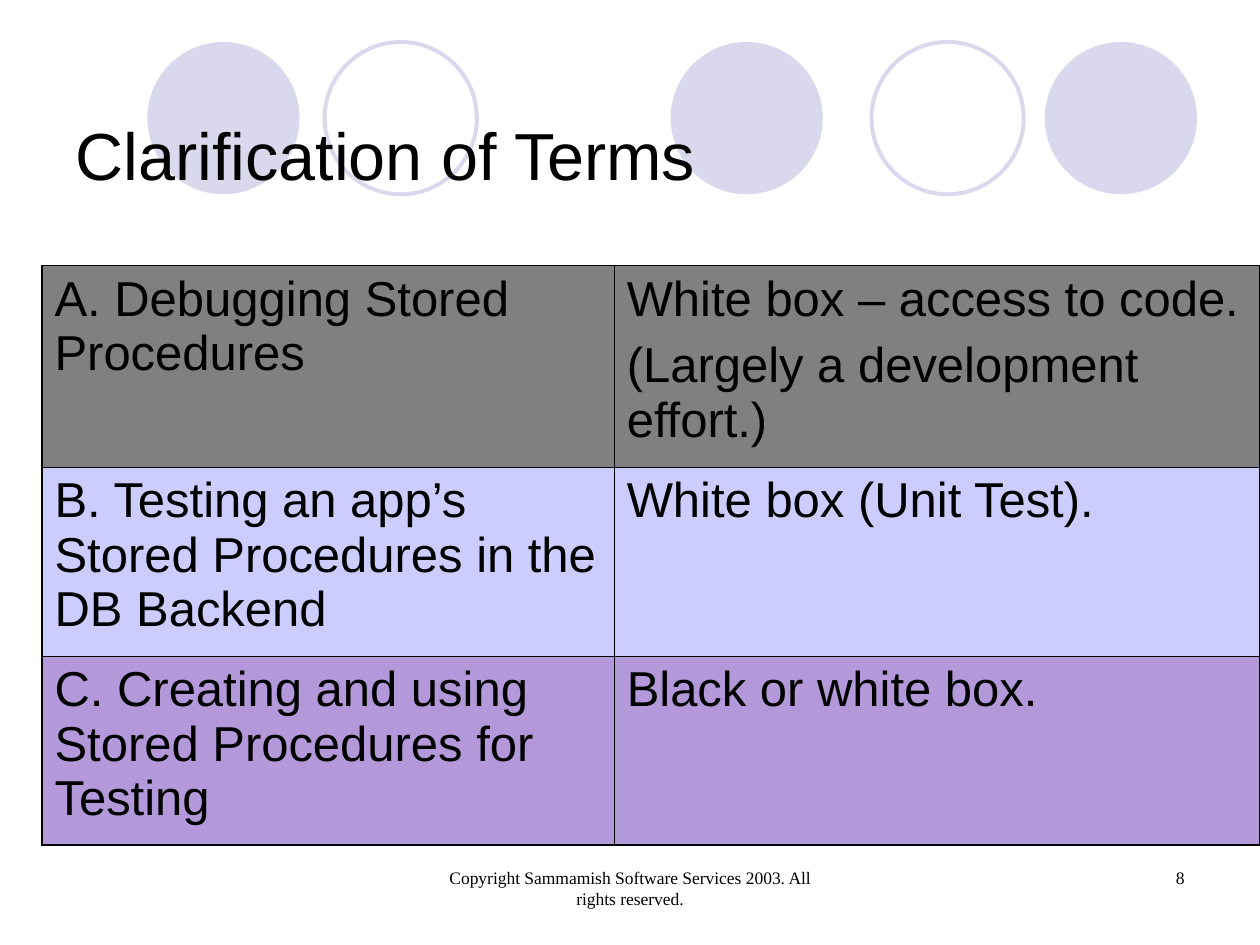
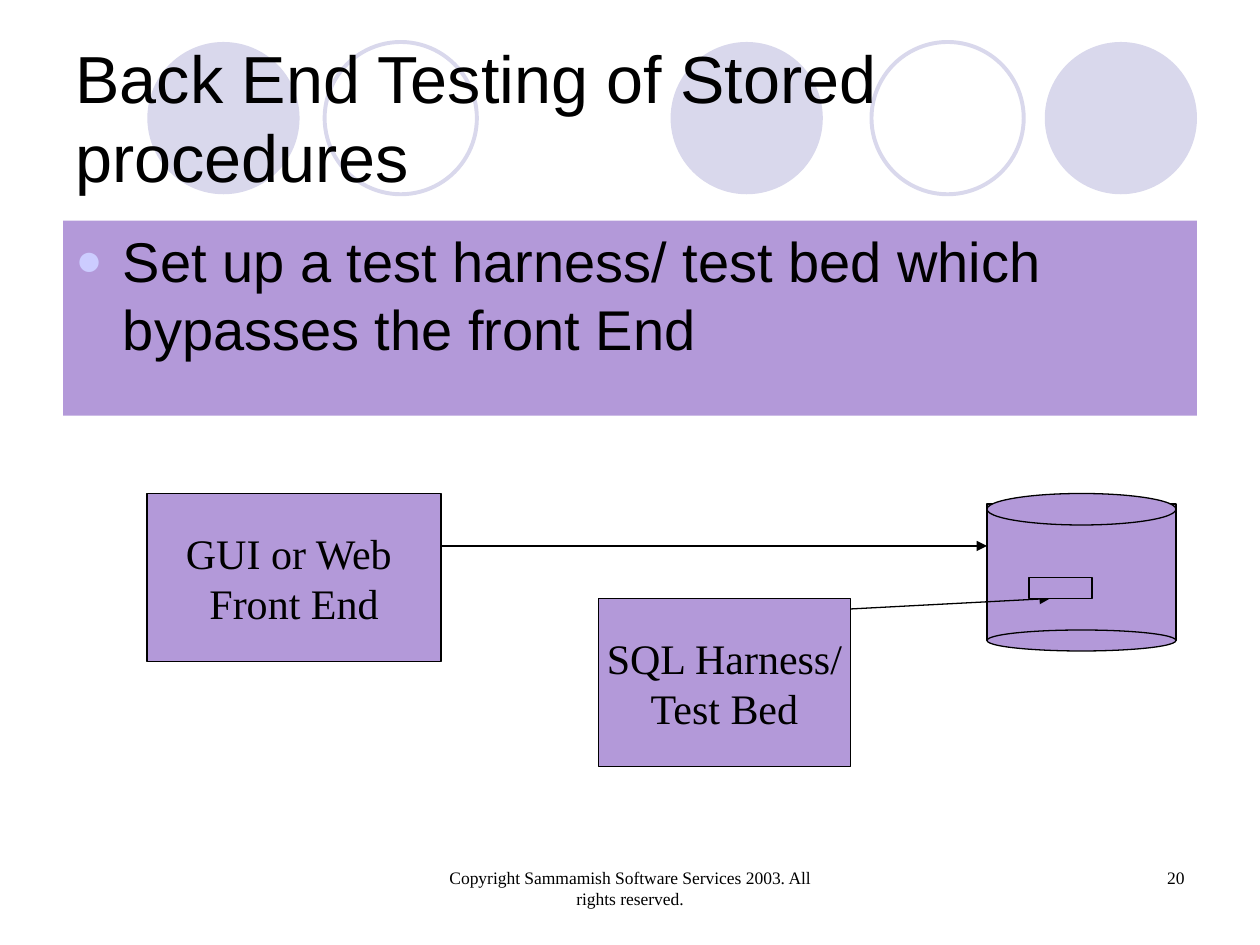
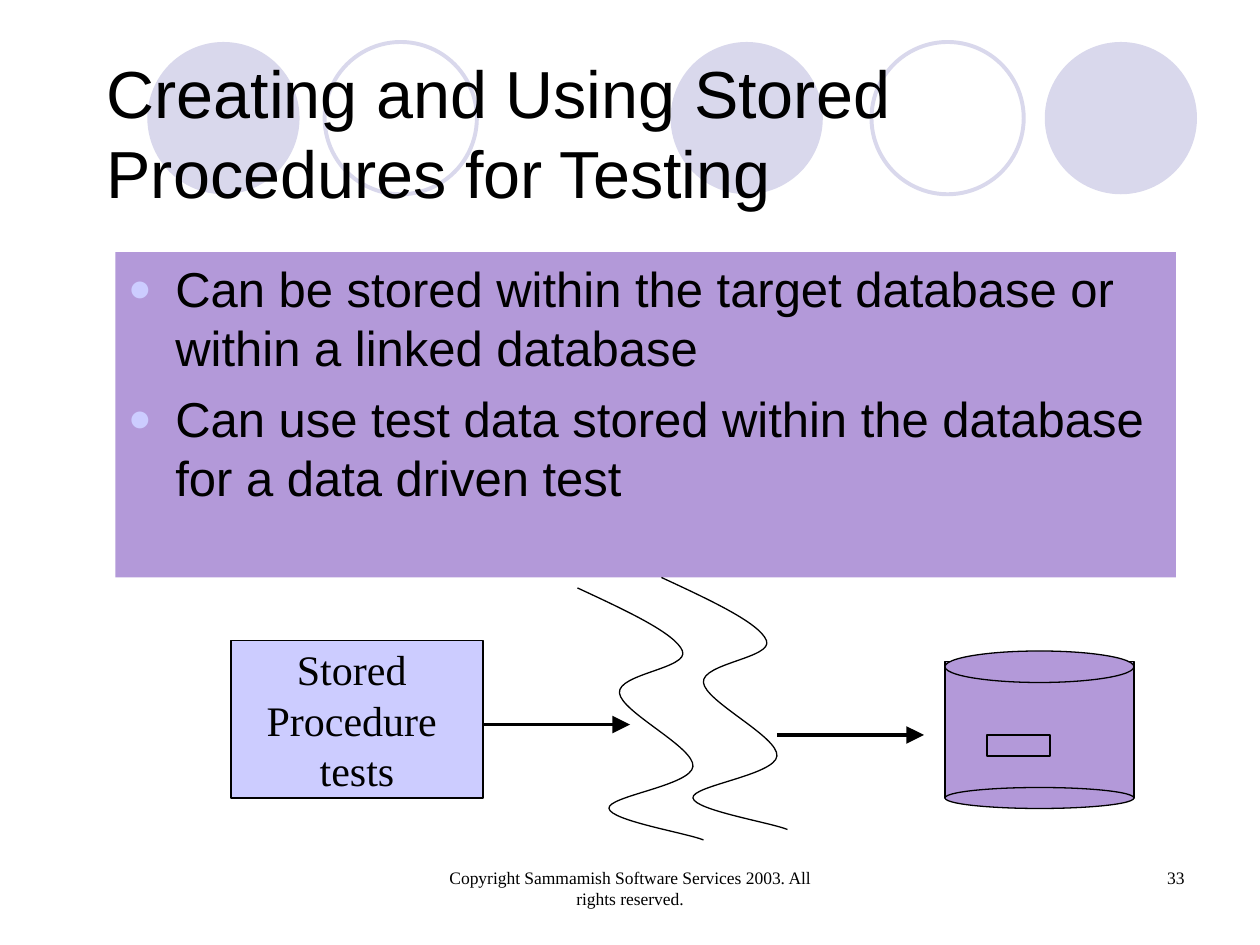
"""Build three slides on testing stored procedures in the database back end."""
from lxml import etree
from pptx import Presentation
from pptx.dml.color import RGBColor
from pptx.enum.shapes import MSO_CONNECTOR, MSO_SHAPE
from pptx.enum.text import MSO_ANCHOR, MSO_AUTO_SIZE, PP_ALIGN
from pptx.oxml.ns import qn
from pptx.util import Pt

RECTANGLE, OVAL = MSO_SHAPE.RECTANGLE, MSO_SHAPE.OVAL
STRAIGHT = MSO_CONNECTOR.STRAIGHT
LEFT, CENTER, RIGHT = PP_ALIGN.LEFT, PP_ALIGN.CENTER, PP_ALIGN.RIGHT
MIDDLE, TOP = MSO_ANCHOR.MIDDLE, MSO_ANCHOR.TOP
NO_AUTOFIT = MSO_AUTO_SIZE.NONE

BLACK, GRAY, CIRCLE_TINT = "000000", "808080", "D9D8EC"
PERIWINKLE, PURPLE = "CCCCFF", "B399D9"
SANS, SERIF = "Arial", "Times New Roman"
COPYRIGHT = "Copyright Sammamish Software Services 2003. All rights reserved."

rgb = RGBColor.from_string


def paint(shape, fill=None, line=None, width=0.75):
    """Set fill and outline, leaving out whichever has no colour."""
    shape.shadow.inherit = False
    if fill:
        shape.fill.solid()
        shape.fill.fore_color.rgb = rgb(fill)
    else:
        shape.fill.background()
    if line:
        shape.line.color.rgb = rgb(line)
        shape.line.width = Pt(width)
    else:
        shape.line.fill.background()


def write(frame, lines, size, font_name, align=LEFT, gap=0, bullet=False):
    """Fill a text frame with one paragraph per line."""
    frame.text = "\n".join(lines)
    for index, paragraph in enumerate(frame.paragraphs):
        if bullet:
            properties = paragraph._p.get_or_add_pPr()
            properties.set("marL", str(Pt(27)))
            properties.set("indent", str(Pt(-27)))
            color = etree.SubElement(properties, qn("a:buClr"))
            etree.SubElement(color, qn("a:srgbClr"), val=PERIWINKLE)
            etree.SubElement(properties, qn("a:buSzPct"), val="80000")
            etree.SubElement(properties, qn("a:buChar"), char="●")
        paragraph.alignment = align
        paragraph.space_before = Pt(gap if index else 0)
        paragraph.font.size = Pt(size)
        paragraph.font.name = font_name
        paragraph.font.color.rgb = rgb(BLACK)


presentation = Presentation()
presentation.slide_width, presentation.slide_height = Pt(720), Pt(540)
title_and_body, title_only = presentation.slide_layouts[1], presentation.slide_layouts[5]

slides = []
for layout, title, box, number in [
    (title_only, "Clarification of Terms", (36, 64, 648, 47.5), "8"),
    (title_and_body, "Back End Testing of Stored procedures", (36, 21.5, 648, 90), "20"),
    (title_and_body, "Creating and Using Stored Procedures for Testing", (53.7, 19, 666, 113), "33"),
]:
    slide = presentation.slides.add_slide(layout)
    slides.append(slide)
    heading = slide.shapes.title
    heading.left, heading.top, heading.width, heading.height = map(Pt, box)
    write(heading.text_frame, [title], 38, SANS)
    heading.text_frame.vertical_anchor = MIDDLE
    heading.text_frame.auto_size = NO_AUTOFIT
    for text, left, width, align in [(COPYRIGHT, 246, 228, CENTER), (number, 516, 168, RIGHT)]:
        footer = slide.shapes.add_textbox(Pt(left), Pt(492), Pt(width), Pt(36))
        footer.text_frame.word_wrap = True
        write(footer.text_frame, [text], 10, SERIF, align)
terms_slide, back_end_slide, creating_slide = slides

master_tree = presentation.slide_master.shapes.element
for index, (left, filled) in enumerate(
    [(84.2, True), (185.5, False), (383.2, True), (498, False), (597, True)]
):
    circle = terms_slide.shapes.add_shape(OVAL, Pt(left), Pt(24), Pt(87), Pt(87))
    paint(circle, CIRCLE_TINT if filled else None, None if filled else CIRCLE_TINT, 2.25)
    master_tree.insert(2 + index, circle.element)

terms = [
    (114.5, GRAY, ["A. Debugging Stored Procedures"],
     ["White box – access to code.", "(Largely a development effort.)"]),
    (107.8, PERIWINKLE, ["B. Testing an app’s Stored Procedures in the DB Backend"],
     ["White box (Unit Test)."]),
    (107.8, PURPLE, ["C. Creating and using Stored Procedures for Testing"],
     ["Black or white box."]),
]
table = terms_slide.shapes.add_table(3, 2, Pt(24), Pt(151.7), Pt(696), Pt(330)).table
table.first_row = table.horz_banding = False
table.columns[0].width, table.columns[1].width = Pt(327), Pt(369)
for row, (height, fill, *texts) in enumerate(terms):
    table.rows[row].height = Pt(height)
    for column, lines in enumerate(texts):
        cell = table.cell(row, column)
        write(cell.text_frame, lines, 28, SANS, gap=7)
        outer_edges = {"L": column == 0, "R": column == 1, "T": row == 0, "B": row == 2}
        for side, outer in outer_edges.items():
            border = etree.SubElement(
                cell._tc.get_or_add_tcPr(), qn(f"a:ln{side}"), w=str(Pt(1.08 if outer else 0.45))
            )
            border_fill = etree.SubElement(border, qn("a:solidFill"))
            etree.SubElement(border_fill, qn("a:srgbClr"), val=BLACK)
        cell.fill.solid()
        cell.fill.fore_color.rgb = rgb(fill)

for slide, box, size, gap, lines in [
    (back_end_slide, (36, 126, 648, 111.5), 32, 8,
     ["Set up a test harness/ test bed which bypasses the front End"]),
    (creating_slide, (66, 144, 606, 186), 28, 7,
     ["Can be stored within the target database or within a linked database",
      "Can use test data stored within the database for a data driven test"]),
]:
    body = slide.placeholders[1]
    body.left, body.top, body.width, body.height = map(Pt, box)
    paint(body, PURPLE)
    write(body.text_frame, lines, size, SANS, gap=gap, bullet=True)
    body.text_frame.vertical_anchor = TOP
    body.text_frame.auto_size = NO_AUTOFIT

for slide, box, fill, lines in [
    (back_end_slide, (84, 282, 168, 96), PURPLE, ["GUI or Web ", "Front End"]),
    (back_end_slide, (342, 342, 144, 96), PURPLE, ["SQL Harness/", "Test Bed"]),
    (creating_slide, (132, 366, 144, 90), PERIWINKLE, ["Stored ", "Procedure ", "tests"]),
]:
    client = slide.shapes.add_shape(RECTANGLE, *map(Pt, box))
    paint(client, fill, BLACK)
    write(client.text_frame, lines, 24, SERIF, CENTER)
    client.text_frame.word_wrap = False
    client.text_frame.vertical_anchor = MIDDLE

databases = [(back_end_slide, 564, 282), (creating_slide, 540, 372)]
for slide, left, top in databases:
    for kind, offset, height in [(RECTANGLE, 6, 78), (OVAL, 78, 12), (OVAL, 0, 18)]:
        part = slide.shapes.add_shape(kind, Pt(left), Pt(top + offset), Pt(108), Pt(height))
        paint(part, PURPLE, BLACK)

for slide, ends, width, head in [
    (back_end_slide, (486, 348, 600, 342), 0.75, "med"),
    (back_end_slide, (252, 312, 564, 312), 0.75, "med"),
    (creating_slide, (276, 414, 360, 414), 2, "lg"),
    (creating_slide, (444, 420, 528, 420), 2, "lg"),
]:
    arrow = slide.shapes.add_connector(STRAIGHT, *map(Pt, ends))
    arrow.line.color.rgb = rgb(BLACK)
    arrow.line.width = Pt(width)
    properties = arrow.element.spPr
    outline = properties.find(qn("a:ln"))
    etree.SubElement(outline, qn("a:tailEnd"), type="triangle", w=head, len=head)
    etree.SubElement(properties, qn("a:effectLst"))

for slide, left, top in databases:
    procedure = slide.shapes.add_shape(RECTANGLE, Pt(left + 24), Pt(top + 48), Pt(36), Pt(12))
    paint(procedure, PURPLE, BLACK)

wave_knots = [
    (28, 13), (56, 26), (60, 36), (64, 46), (23, 49), (24, 60), (25, 71), (67, 91),
    (66, 102), (65, 113), (17, 119), (18, 126), (19, 133), (62, 140), (72, 144),
]
for left, top in [(330, 336), (378, 330)]:
    builder = creating_slide.shapes.build_freeform(Pt(left), Pt(top))
    builder.add_line_segments([(Pt(left + x), Pt(top + y)) for x, y in wave_knots], close=False)
    wave = builder.convert_to_shape()
    paint(wave, line=BLACK)
    outline = next(wave.element.iter(qn("a:moveTo"))).getparent()
    segments = outline.findall(qn("a:lnTo"))
    for start in range(0, len(segments), 3):
        curve = etree.SubElement(outline, qn("a:cubicBezTo"))
        for segment in segments[start:start + 3]:
            curve.append(segment[0])
            outline.remove(segment)

presentation.save("out.pptx")
